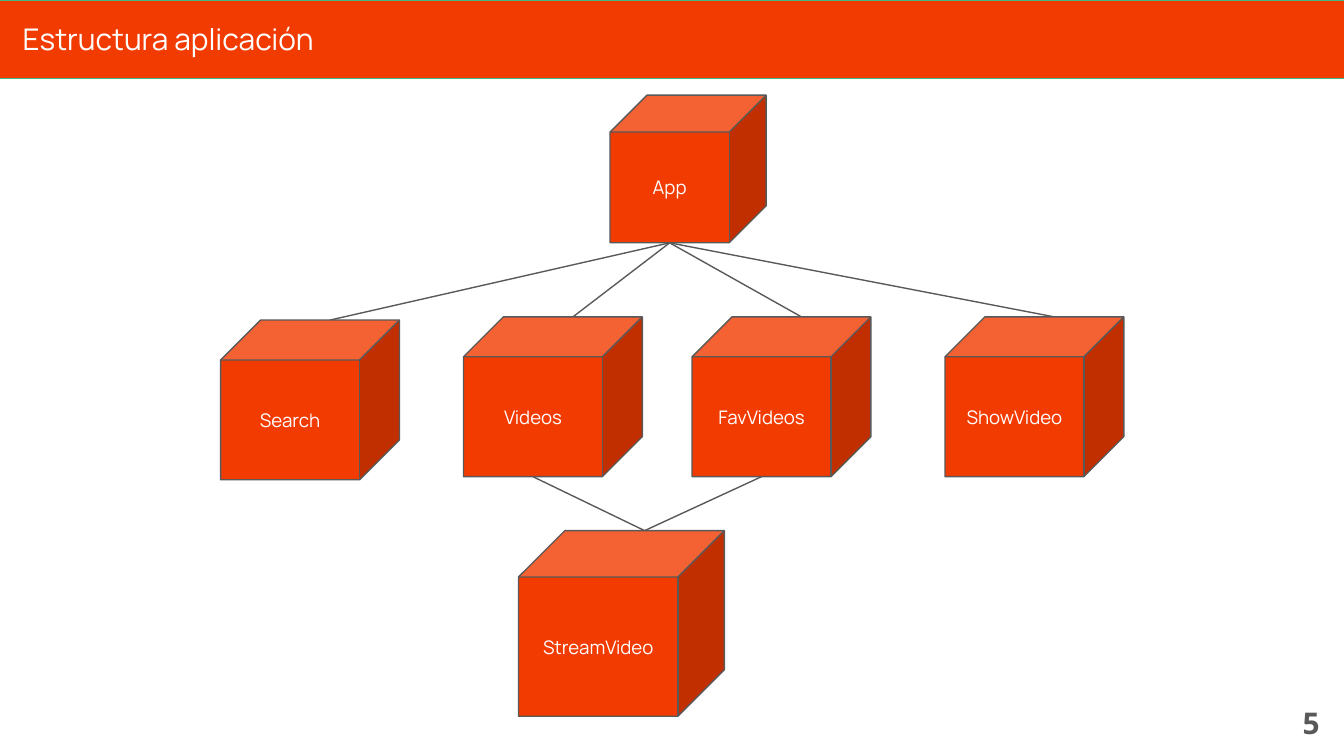
from lxml import etree
from pptx import Presentation
from pptx.dml.color import RGBColor
from pptx.enum import shapes, text
from pptx.oxml.ns import qn
from pptx.util import Cm, Pt

# Content
TITLE = "Estructura aplicación"
PAGE = "5"
COLORS = {"orange": "F23B00", "green": "42B883", "gray": "595959", "white": "FFFFFF"}
DEPTH = 0.25
SMALL = (3.38, 3.02)
# component: (left, top, (width, height)) in cm
COMPONENTS = {
    "App": (11.53, 1.8, (2.95, 2.79)),
    "Search": (4.17, 6.05, SMALL),
    "Videos": (8.76, 5.99, SMALL),
    "FavVideos": (13.08, 5.99, SMALL),
    "ShowVideo": (17.86, 5.99, SMALL),
    "StreamVideo": (9.8, 10.03, (3.89, 3.51)),
}
CHILDREN = {
    "App": ["Search", "Videos", "FavVideos", "ShowVideo"],
    "Videos": ["StreamVideo"],
    "FavVideos": ["StreamVideo"],
}


def color(name):
    return RGBColor.from_string(COLORS[name])


def outline(part, name):
    part.line.color.rgb = color(name)
    part.line.width = Pt(0.75)


def write(part, words, size, font="Manrope", ink="white", bold=False,
          align=text.PP_ALIGN.LEFT, anchor=text.MSO_ANCHOR.MIDDLE):
    frame = part.text_frame
    frame.text = words
    frame.word_wrap = True
    frame.vertical_anchor = anchor
    frame.margin_left = frame.margin_right = Cm(0.25)
    frame.margin_top = frame.margin_bottom = Cm(0.25)
    paragraph = frame.paragraphs[0]
    paragraph.alignment = align
    style = paragraph.runs[0].font
    style.name, style.size, style.bold = font, Pt(size), bold
    style.color.rgb = color(ink)


def solid(slide, kind, left, top, width, height, edge):
    part = slide.shapes.add_shape(kind, Cm(left), Cm(top), Cm(width), Cm(height))
    part.shadow.inherit = False
    part.fill.solid()
    part.fill.fore_color.rgb = color("orange")
    outline(part, edge)
    return part


def top_center(name):
    left, top, (width, height) = COMPONENTS[name]
    return Cm(left + (width + DEPTH * min(width, height)) / 2), Cm(top)


def bottom_center(name):
    left, top, (width, height) = COMPONENTS[name]
    return Cm(left + (width - DEPTH * min(width, height)) / 2), Cm(top + height)


def main():
    deck = Presentation()
    deck.slide_width, deck.slide_height = Cm(25.4), Cm(14.29)
    slide = deck.slides.add_slide(deck.slide_layouts[6])

    # Links from each component to its children
    for parent, children in CHILDREN.items():
        for child in children:
            link = slide.shapes.add_connector(
                shapes.MSO_CONNECTOR.STRAIGHT, *bottom_center(parent), *top_center(child))
            outline(link, "gray")
            etree.SubElement(link._element.spPr, qn("a:effectLst"))

    # Component cubes
    for name, (left, top, (width, height)) in COMPONENTS.items():
        cube = solid(slide, shapes.MSO_SHAPE.CUBE, left, top, width, height, "gray")
        cube.adjustments[0] = DEPTH
        write(cube, name, 10, align=text.PP_ALIGN.CENTER)

    # Title band
    solid(slide, shapes.MSO_SHAPE.RECTANGLE, -0.02, 0, 25.44, 1.49, "green")
    title = slide.shapes.add_textbox(Cm(0.18), Cm(0.15), Cm(17.96), Cm(1.2))
    write(title, TITLE, 16, anchor=text.MSO_ANCHOR.TOP)

    # Page number
    page = slide.shapes.add_textbox(Cm(23.67), Cm(13.11), Cm(1.52), Cm(1.09))
    write(page, PAGE, 16, "Open Sans", "gray", True, text.PP_ALIGN.RIGHT)

    deck.save("out.pptx")


if __name__ == "__main__":
    main()
